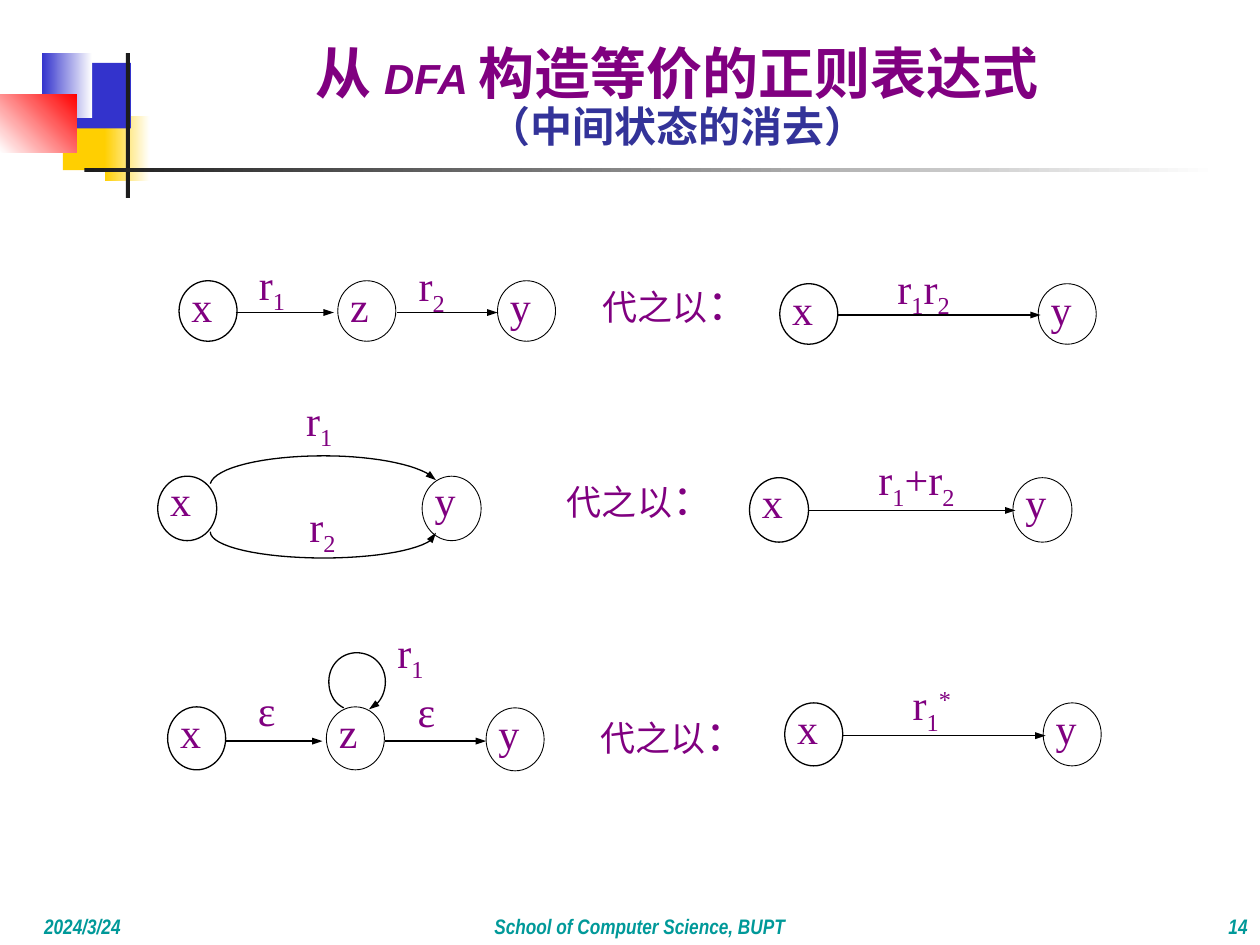
from dataclasses import dataclass
from typing import NamedTuple

from lxml import etree
from pptx import Presentation
from pptx import util as u
from pptx.dml.color import RGBColor
from pptx.enum import lang, shapes, text
from pptx.oxml.ns import qn


@dataclass(frozen=True)
class Theme:
    purple: str = "800080"
    indigo: str = "333399"
    teal: str = "009999"
    blue: str = "3333CC"
    yellow: str = "FFCF01"
    red: str = "FF0000"
    dark: str = "1C1C1C"
    black: str = "000000"
    white: str = "FFFFFF"
    serif: str = "Times New Roman"
    sans: str = "Arial"
    narrow: str = "Arial Narrow"
    cjk: str = "Noto Sans CJK SC"
    heading: float = 32
    symbol: float = 24
    phrase: float = 20
    footer: float = 12
    thick: float = 0.75
    thin: float = 0.5


T = Theme()


class Run(NamedTuple):
    words: str
    size: float = T.symbol
    font: str = T.serif
    color: str = T.purple
    bold: bool = False
    italic: bool = False
    baseline: int = 0


class Box(NamedTuple):
    left: float
    top: float
    width: float
    height: float

    def lengths(self) -> list:
        return [u.Cm(side) for side in self]


class Block(NamedTuple):
    box: Box
    start: str
    end: str = ""
    angle: float = 0


class State(NamedTuple):
    name: str
    left: float
    top: float


class Arrow(NamedTuple):
    start: float
    end: float
    level: float


class Label(NamedTuple):
    left: float
    top: float
    runs: list[Run]
    width: float = 1.5


@dataclass
class Rule:
    width: float
    height: float
    lift: float
    states: list[State]
    arrows: list[Arrow]
    labels: list[Label]
    phrase: tuple[float, float]
    curves: list[list[tuple[float, float]]]


def sub(digit: str) -> Run:
    return Run(digit, baseline=-25)


def write(slide, box: Box, paragraphs: list[list[Run]], align=text.PP_ALIGN.LEFT,
          anchor=text.MSO_ANCHOR.TOP, spacing: float = 1.0) -> None:
    frame = slide.shapes.add_textbox(*box.lengths()).text_frame
    frame.word_wrap = True
    frame.vertical_anchor = anchor
    for index, runs in enumerate(paragraphs):
        paragraph = frame.add_paragraph() if index else frame.paragraphs[0]
        paragraph.alignment = align
        paragraph.line_spacing = spacing
        for part in runs:
            run = paragraph.add_run()
            run.text = part.words
            font = run.font
            font.size, font.bold, font.italic = u.Pt(part.size), part.bold, part.italic
            font.color.rgb = RGBColor.from_string(part.color)
            font.name = part.font
            font.language_id = lang.MSO_LANGUAGE_ID.SIMPLIFIED_CHINESE
            properties = run._r.get_or_add_rPr()
            etree.SubElement(properties, qn("a:ea")).set("typeface", T.cjk)
            if part.baseline:
                properties.set("baseline", str(part.baseline * 1000))


def draw_block(slide, block: Block) -> None:
    panel = slide.shapes.add_shape(shapes.MSO_SHAPE.RECTANGLE, *block.box.lengths())
    panel.shadow.inherit = False
    panel.line.fill.background()
    if block.end:
        panel.fill.gradient()
        panel.fill.gradient_angle = block.angle
        for stop, color in zip(panel.fill.gradient_stops, (block.start, block.end)):
            stop.color.rgb = RGBColor.from_string(color)
    else:
        panel.fill.solid()
        panel.fill.fore_color.rgb = RGBColor.from_string(block.start)


def ink(stroke, weight: float, pointed: bool = False) -> None:
    stroke.line.color.rgb = RGBColor.from_string(T.black)
    stroke.line.width = u.Pt(weight)
    if pointed:
        outline = stroke._element.spPr.find(qn("a:ln"))
        etree.SubElement(outline, qn("a:tailEnd"), type="triangle", w="sm", len="med")


def draw_state(slide, rule: Rule, state: State) -> None:
    circle = slide.shapes.add_shape(
        shapes.MSO_SHAPE.OVAL, *Box(state.left, state.top, rule.width, rule.height).lengths())
    circle.shadow.inherit = False
    circle.fill.background()
    ink(circle, T.thick if state.name == "x" else T.thin)
    write(slide, Box(state.left, state.top - rule.lift, rule.width + 0.24, rule.height + 0.32),
          [[Run(state.name)]])


def draw_arrow(slide, arrow: Arrow) -> None:
    edge = slide.shapes.add_connector(
        shapes.MSO_CONNECTOR.STRAIGHT, u.Cm(arrow.start), u.Cm(arrow.level),
        u.Cm(arrow.end), u.Cm(arrow.level))
    ink(edge, T.thick, pointed=True)
    etree.SubElement(edge._element.spPr, qn("a:effectLst"))


def draw_curve(slide, knots: list[tuple[float, float]], steps: int = 16) -> None:
    trace = [tuple(u.Cm(value) for value in knots[0])]
    for first in range(0, len(knots) - 1, 3):
        controls = knots[first:first + 4]
        for step in range(1, steps + 1):
            t = step / steps
            weights = ((1 - t) ** 3, 3 * t * (1 - t) ** 2, 3 * t * t * (1 - t), t ** 3)
            trace.append(tuple(u.Cm(sum(w * knot[axis] for w, knot in zip(weights, controls)))
                               for axis in (0, 1)))
    builder = slide.shapes.build_freeform(*trace[0])
    builder.add_line_segments(trace[1:], close=False)
    curve = builder.convert_to_shape()
    curve.shadow.inherit = False
    curve.fill.background()
    ink(curve, T.thick, pointed=True)


def draw_rule(slide, rule: Rule) -> None:
    for state in rule.states:
        draw_state(slide, rule, state)
    for arrow in rule.arrows:
        draw_arrow(slide, arrow)
    for knots in rule.curves:
        draw_curve(slide, knots)
    for label in rule.labels:
        write(slide, Box(label.left, label.top, label.width, 1.45), [label.runs])
    write(slide, Box(*rule.phrase, 3.8, 1.48), [[Run("代之以", T.phrase), Run("：")]])


R1, R2, EPSILON = [Run("r"), sub("1")], [Run("r"), sub("2")], [Run("ε")]

BLOCKS = [
    Block(Box(1.27, 2.11, 1.22, 1.32), T.yellow),
    Block(Box(2.11, 2.34, 0.91, 1.32), T.yellow, T.white),
    Block(Box(1.47, 1.27, 1.17, 1.32), T.blue),
    Block(Box(0.84, 1.07, 1.02, 1.32), T.blue, T.white),
    Block(Box(0, 1.9, 1.55, 1.17), T.white, T.red, 45),
    Block(Box(2.54, 1.07, 0.08, 2.92), T.dark),
    Block(Box(1.7, 3.38, 22.86, 0.08), T.dark, T.white),
]

RULES = [
    Rule(1.17, 1.22, 0.13,
         [State("x", 15.72, 5.72), State("y", 20.93, 5.72), State("x", 3.61, 5.66),
          State("z", 6.81, 5.66), State("y", 10.03, 5.66)],
         [Arrow(16.89, 20.98, 6.35), Arrow(4.75, 6.73, 6.3), Arrow(8, 10.03, 6.3)],
         [Label(17.84, 5.16, R1 + R2, 2.36), Label(4.97, 5.08, R1), Label(8.19, 5.11, R2)],
         (11.89, 5.49), []),
    Rule(1.19, 1.3, 0.15,
         [State("x", 15.11, 9.63), State("y", 20.42, 9.63),
          State("x", 3.18, 9.6), State("y", 8.51, 9.6)],
         [Arrow(16.28, 20.47, 10.29)],
         [Label(17.46, 9.02, [Run("r"), sub("1"), Run("+r"), sub("2")], 2.36),
          Label(5.99, 9.96, R2), Label(5.92, 7.82, R1)],
         (11.18, 9.42),
         [[(4.24, 10.72), (4.24, 11.02), (5.26, 11.25), (6.53, 11.25),
           (7.77, 11.25), (8.79, 11.02), (8.79, 10.74)],
          [(4.24, 9.75), (4.34, 9.42), (5.33, 9.19), (6.53, 9.19),
           (7.62, 9.19), (8.56, 9.4), (8.79, 9.68)]]),
    Rule(1.17, 1.27, 0.13,
         [State("x", 15.82, 14.17), State("y", 21.03, 14.17), State("x", 3.38, 14.25),
          State("z", 6.58, 14.25), State("y", 9.8, 14.27)],
         [Arrow(16.99, 21.08, 14.83), Arrow(4.55, 6.5, 14.94), Arrow(7.77, 9.8, 14.94)],
         [Label(18.15, 13.56, R1 + [Run("*", baseline=30)], 2.15),
          Label(4.95, 13.67, EPSILON), Label(8.17, 13.69, EPSILON), Label(7.76, 12.5, R1)],
         (11.86, 14.17),
         [[(6.93, 14.27), (6.73, 14.17), (6.63, 13.97), (6.63, 13.74),
           (6.63, 13.41), (6.88, 13.16), (7.19, 13.16), (7.52, 13.16), (7.77, 13.41),
           (7.77, 13.74), (7.77, 13.99), (7.65, 14.2), (7.44, 14.3)]]),
]

TITLE = [
    [Run("从 ", T.heading, bold=True), Run("DFA ", font=T.sans, bold=True, italic=True),
     Run("构造等价的", T.heading, bold=True), Run("正则表达式", T.heading, T.cjk, bold=True)],
    [Run("（中间状态的消去）", font=T.sans, color=T.indigo, bold=True)],
]

FOOTERS = [
    ("14", 21.16, 4.24, text.PP_ALIGN.RIGHT, 1.0),
    ("2024/3/24", 0.64, 4.01, text.PP_ALIGN.LEFT, 1.0),
    ("School of Computer Science, BUPT", 4.01, 17.78, text.PP_ALIGN.CENTER, 1.1),
]


def main() -> None:
    deck = Presentation()
    deck.slide_width, deck.slide_height = u.Cm(25.4), u.Cm(19.05)
    slide = deck.slides.add_slide(deck.slide_layouts[6])
    for block in BLOCKS:
        draw_block(slide, block)
    for words, left, width, align, spacing in FOOTERS:
        write(slide, Box(left, 17.78, width, 1.27),
              [[Run(words, T.footer, T.narrow, T.teal, True, True)]],
              align, text.MSO_ANCHOR.BOTTOM, spacing)
    write(slide, Box(2.54, 0.84, 22.22, 2.34), TITLE,
          text.PP_ALIGN.CENTER, text.MSO_ANCHOR.BOTTOM, 0.9)
    for rule in RULES:
        draw_rule(slide, rule)
    deck.save("out.pptx")


if __name__ == "__main__":
    main()
